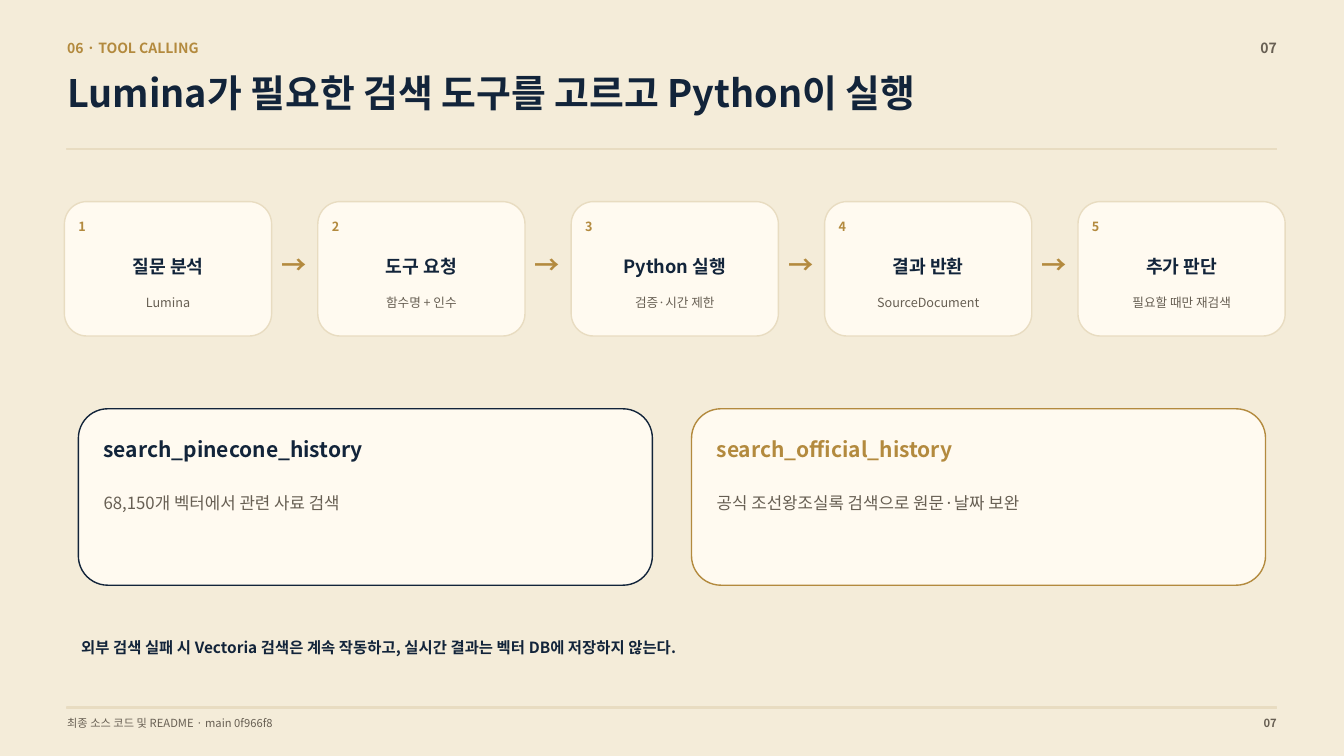
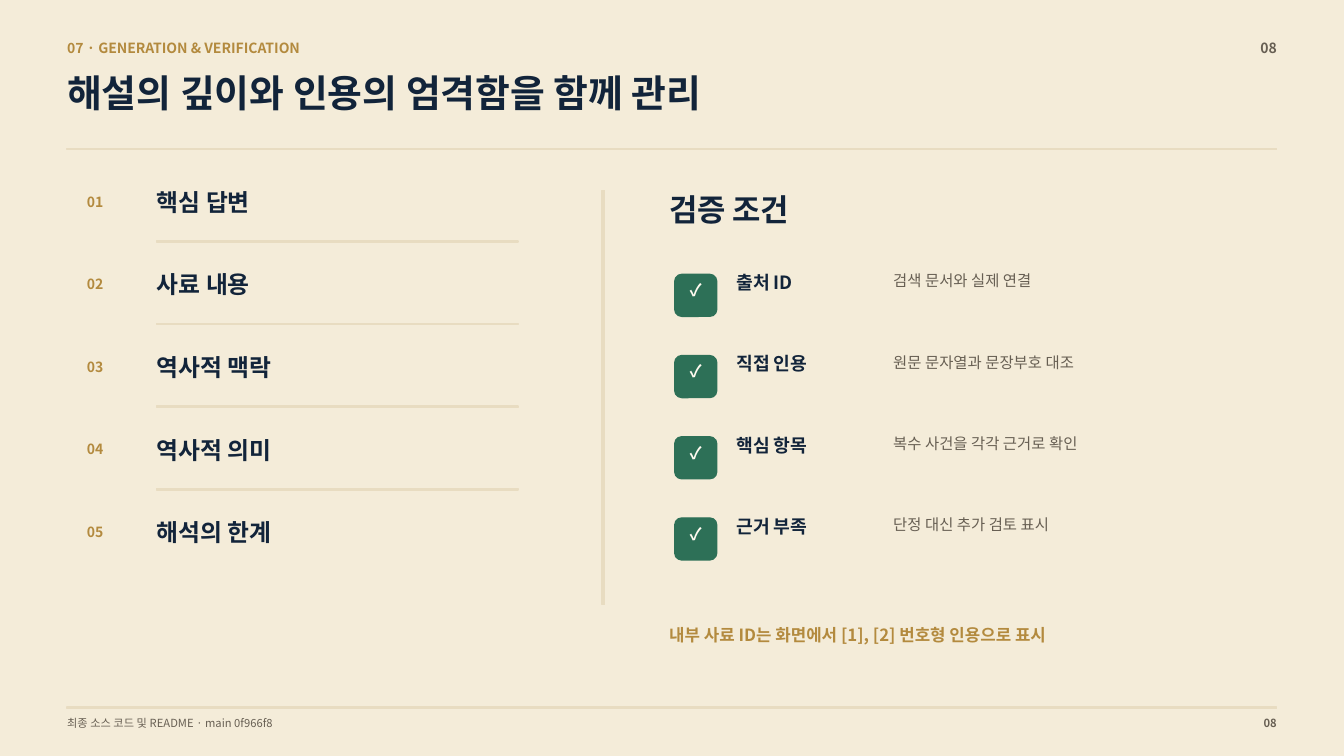
from dataclasses import dataclass

from lxml import etree
from pptx import Presentation
from pptx.dml.color import RGBColor
from pptx.enum.shapes import MSO_SHAPE
from pptx.enum.text import MSO_ANCHOR, PP_ALIGN
from pptx.oxml.ns import qn
from pptx.slide import Slide
from pptx.util import Emu, Pt

RECT, ROUND = MSO_SHAPE.RECTANGLE, MSO_SHAPE.ROUNDED_RECTANGLE
LEFT, MID, RIGHT = PP_ALIGN.LEFT, PP_ALIGN.CENTER, PP_ALIGN.RIGHT
TOP = MSO_ANCHOR.TOP

# Shared style: 72 px to the inch
SCALE = 12700
WIDE, HIGH = 960, 540
FONT = "Noto Sans CJK KR"
PAPER, CARD, SAND = "F4ECD9", "FFFAF0", "E8DCC1"
NAVY, GOLD, GREY, GREEN = "12243A", "B38A3E", "675F53", "2D7057"
EDGE, SPAN = 48, 864
SOURCE = "최종 소스 코드 및 README · main 0f966f8"


@dataclass(frozen=True)
class Step:
    name: str
    note: str


@dataclass(frozen=True)
class Tool:
    name: str
    note: str
    color: str


@dataclass(frozen=True)
class Check:
    name: str
    note: str


STEPS = [
    Step("질문 분석", "Lumina"),
    Step("도구 요청", "함수명 + 인수"),
    Step("Python 실행", "검증·시간 제한"),
    Step("결과 반환", "SourceDocument"),
    Step("추가 판단", "필요할 때만 재검색"),
]
TOOLS = [
    Tool("search_pinecone_history", "68,150개 벡터에서 관련 사료 검색", NAVY),
    Tool("search_official_history", "공식 조선왕조실록 검색으로 원문·날짜 보완", GOLD),
]
PARTS = ["핵심 답변", "사료 내용", "역사적 맥락", "역사적 의미", "해석의 한계"]
CHECKS = [
    Check("출처 ID", "검색 문서와 실제 연결"),
    Check("직접 인용", "원문 문자열과 문장부호 대조"),
    Check("핵심 항목", "복수 사건을 각각 근거로 확인"),
    Check("근거 부족", "단정 대신 추가 검토 표시"),
]


def px(n: int) -> Emu:
    return Emu(n * SCALE)


def rgb(code: str) -> RGBColor:
    return RGBColor.from_string(code)


def box(slide: Slide, x: int, y: int, w: int, h: int,
        fill: str = SAND, line: str = SAND, kind: MSO_SHAPE = RECT) -> None:
    shape = slide.shapes.add_shape(kind, px(x), px(y), px(w), px(h))
    shape.shadow.inherit = False
    shape.fill.solid()
    shape.fill.fore_color.rgb = rgb(fill)
    shape.line.color.rgb = rgb(line)
    shape.line.width = Pt(1)


def text(slide: Slide, words: str, x: int, y: int, w: int, h: int, size: int,
         color: str = NAVY, bold: bool = True, align: PP_ALIGN = LEFT) -> None:
    frame = slide.shapes.add_textbox(px(x), px(y), px(w), px(h)).text_frame
    frame.margin_left = frame.margin_right = 0
    frame.margin_top = frame.margin_bottom = 0
    frame.word_wrap = True
    frame.vertical_anchor = TOP
    para = frame.paragraphs[0]
    para.text = words
    para.alignment = align
    font = para.font
    font.name, font.size, font.bold = FONT, Pt(size), bold
    font.color.rgb = rgb(color)
    # Hangul takes the East Asian typeface
    props = para._p.pPr.find(qn("a:defRPr"))
    etree.SubElement(props, qn("a:ea")).set("typeface", FONT)


def base(deck: Presentation, page: str, tag: str, title: str) -> Slide:
    """Add a slide with background, header and footer."""
    slide = deck.slides.add_slide(deck.slide_layouts[6])
    slide.background.fill.solid()
    slide.background.fill.fore_color.rgb = rgb(PAPER)
    text(slide, tag, EDGE, 28, 320, 18, 10, GOLD)
    text(slide, title, EDGE, 50, 820, 46, 27)
    text(slide, SOURCE, EDGE, 512, 720, 14, 8, GREY, False)
    for y in (106, 505):
        box(slide, EDGE, y, SPAN, 1)
    for y, h, size in ((28, 18, 10), (512, 14, 8)):
        text(slide, page, 878, y, 34, h, size, GREY, align=RIGHT)
    return slide


def calling(deck: Presentation) -> None:
    slide = base(deck, "07", "06 · TOOL CALLING",
                 "Lumina가 필요한 검색 도구를 고르고 Python이 실행")
    # Flow of steps
    for i, step in enumerate(STEPS):
        x = 46 + i * 181
        box(slide, x, 144, 148, 96, CARD, SAND, ROUND)
        text(slide, str(i + 1), x + 10, 156, 22, 18, 9, GOLD)
        text(slide, step.name, x + 10, 182, 128, 24, 13, align=MID)
        text(slide, step.note, x + 10, 211, 128, 16, 9, GREY, False, MID)
        if i < len(STEPS) - 1:
            text(slide, "→", x + 150, 178, 28, 26, 18, GOLD, align=MID)
    # Two search tools
    for i, tool in enumerate(TOOLS):
        x = 56 + i * 438
        box(slide, x, 292, 410, 126, CARD, tool.color, ROUND)
        text(slide, tool.name, x + 18, 312, 374, 26, 15, tool.color)
        text(slide, tool.note, x + 18, 352, 374, 42, 12, GREY, False)
    text(slide, "외부 검색 실패 시 Vectoria 검색은 계속 작동하고, "
         "실시간 결과는 벡터 DB에 저장하지 않는다.", 58, 456, 830, 22, 11)


def verify(deck: Presentation) -> None:
    slide = base(deck, "08", "07 · GENERATION & VERIFICATION",
                 "해설의 깊이와 인용의 엄격함을 함께 관리")
    # Parts of an answer
    for i, part in enumerate(PARTS):
        y = 134 + i * 59
        text(slide, f"{i + 1:02}", 62, y + 4, 38, 22, 10, GOLD)
        text(slide, part, 112, y, 250, 30, 17)
        if i < len(PARTS) - 1:
            box(slide, 112, y + 38, 258, 1)
    box(slide, 430, 136, 2, 296)
    # Conditions to check
    text(slide, "검증 조건", 478, 136, 280, 30, 22)
    for i, check in enumerate(CHECKS):
        y = 194 + i * 58
        box(slide, 482, y + 2, 30, 30, GREEN, GREEN, ROUND)
        text(slide, "✓", 482, y + 6, 30, 20, 12, CARD, align=MID)
        text(slide, check.name, 526, y, 112, 22, 13)
        text(slide, check.note, 638, y, 250, 36, 11, GREY, False)
    text(slide, "내부 사료 ID는 화면에서 [1], [2] 번호형 인용으로 표시",
         478, 446, 410, 24, 12, GOLD)


def main() -> None:
    deck = Presentation()
    deck.slide_width, deck.slide_height = px(WIDE), px(HIGH)
    calling(deck)
    verify(deck)
    deck.save("out.pptx")


if __name__ == "__main__":
    main()
